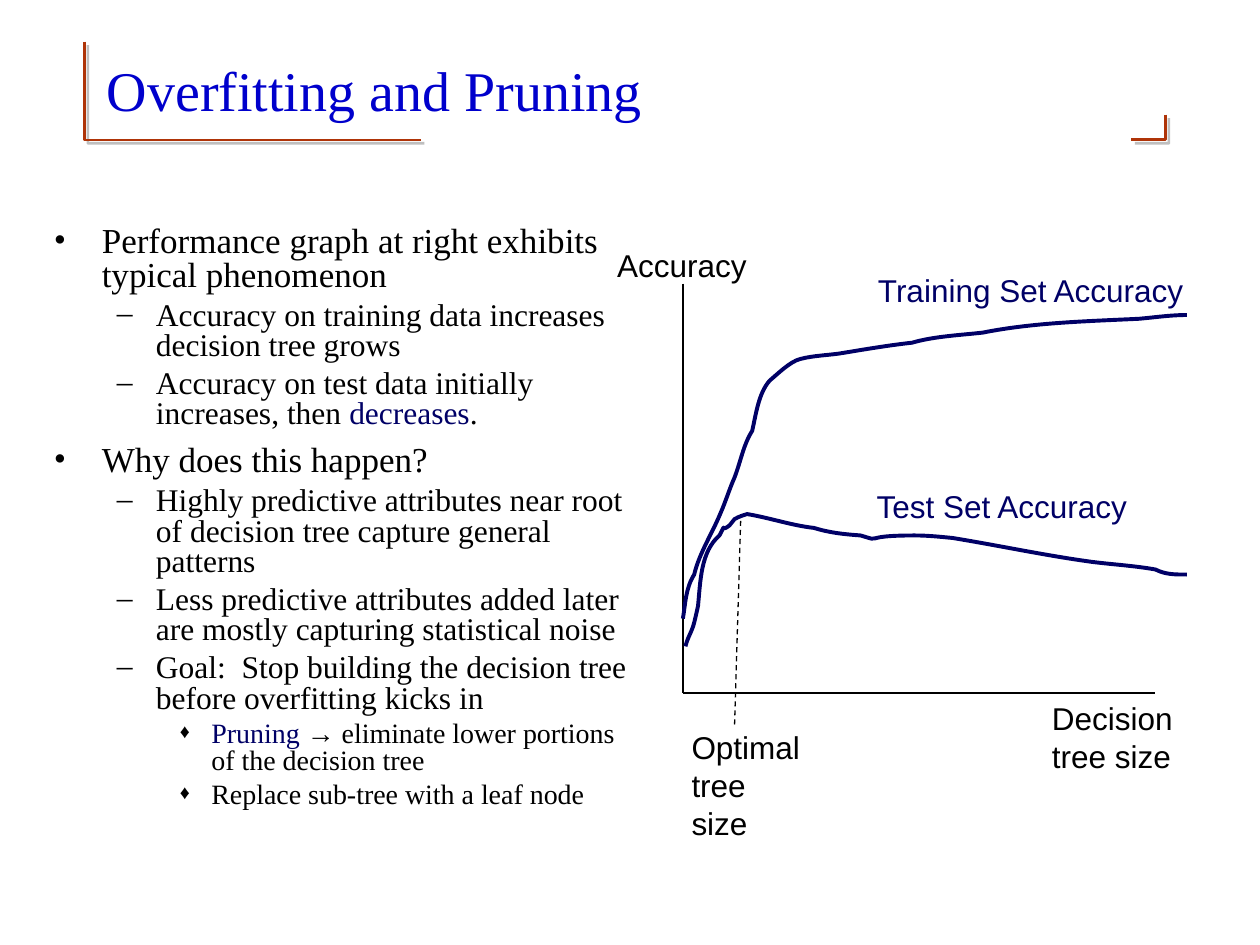
"""Build the slide on overfitting and pruning of decision trees."""
from lxml.etree import SubElement
from pptx import Presentation
from pptx.dml.color import RGBColor
from pptx.enum.dml import MSO_LINE_DASH_STYLE as Dash
from pptx.enum.shapes import MSO_CONNECTOR as Connector
from pptx.enum.text import MSO_ANCHOR as Anchor
from pptx.oxml.ns import qn
from pptx.util import Inches, Pt

COLORS = {"title": "0000CC", "text": "000000", "accent": "000066",
          "bracket": "AF3408", "shadow": "808080"}
SERIF, SANS = "Times New Roman", "Arial"

TITLE = "Overfitting and Pruning"
BODY = [
    (0, [("Performance graph at right exhibits typical phenomenon", "text")]),
    (1, [("Accuracy on training data increases decision tree grows", "text")]),
    (1, [("Accuracy on test data initially increases, then ", "text"),
         ("decreases", "accent"), (".", "text")]),
    (0, [("Why does this happen?", "text")]),
    (1, [("Highly predictive attributes near root of decision tree capture general patterns", "text")]),
    (1, [("Less predictive attributes added later are mostly capturing statistical noise", "text")]),
    (1, [("Goal:  Stop building the decision tree before overfitting kicks in", "text")]),
    (2, [("Pruning ", "accent"), ("→ eliminate lower portions of the decision tree", "text")]),
    (2, [("Replace sub-tree with a leaf node", "text")]),
]
LEVELS = [
    {"size": 20, "left": 0.38, "hanging": 0.38, "before": 8.8, "bullet": "•", "scale": 100},
    {"size": 18, "left": 0.81, "hanging": 0.31, "before": 4.5, "bullet": "–", "scale": 100},
    {"size": 16, "left": 1.25, "hanging": 0.25, "before": 4, "bullet": "♦", "scale": 70},
]
LABELS = [
    (["Decision", "tree size"], (8.25, 5.5, 1.16, 0.7), "text"),
    (["Accuracy"], (4.8, 1.9, 1.23, 0.4), "text"),
    (["Training Set Accuracy"], (6.87, 2.1, 2.64, 0.4), "accent"),
    (["Test Set Accuracy"], (6.86, 3.82, 2.23, 0.4), "accent"),
    (["Optimal", "tree size"], (5.39, 5.73, 1.14, 0.7), "text"),
]
ORIGIN = (5.42, 5.5)
LINES = [
    ((5.42, 2.25), ORIGIN, None),
    (ORIGIN, (9.17, 5.5), None),
    ((5.83, 5.75), (5.88, 4.08), Dash.DASH),
]
BRACKETS = [
    [(0.67, 0.33), (0.67, 1.11), (3.34, 1.11)],
    [(9.25, 0.91), (9.25, 1.11), (8.98, 1.11)],
]
TRAINING_CURVE = [
    (5.42, 4.91),
    (5.44, 4.8), (5.44, 4.67), (5.51, 4.56),
    (5.55, 4.39), (5.65, 4.24), (5.72, 4.07),
    (5.76, 3.98), (5.79, 3.88), (5.83, 3.79),
    (5.88, 3.66), (5.9, 3.53), (5.97, 3.42),
    (6, 3.29), (6.02, 3.12), (6.11, 3.02),
    (6.17, 2.97), (6.27, 2.87), (6.35, 2.85),
    (6.46, 2.82), (6.59, 2.82), (6.7, 2.8),
    (6.88, 2.77), (7.06, 2.74), (7.24, 2.72),
    (7.41, 2.67), (7.62, 2.66), (7.8, 2.64),
    (8.2, 2.56), (8.63, 2.55), (9.04, 2.53),
    (9.16, 2.52), (9.29, 2.5), (9.42, 2.5),
]
TEST_CURVE = [
    (5.44, 5.13),
    (5.46, 5.05), (5.49, 5.02), (5.51, 4.94),
    (5.52, 4.9), (5.54, 4.81), (5.54, 4.81),
    (5.56, 4.61), (5.56, 4.38), (5.71, 4.25),
    (5.78, 4.12), (5.7, 4.24), (5.79, 4.17),
    (5.81, 4.16), (5.81, 4.13), (5.83, 4.12),
    (5.86, 4.1), (5.93, 4.08), (5.93, 4.08),
    (6.11, 4.11), (6.28, 4.17), (6.46, 4.19),
    (6.59, 4.23), (6.7, 4.24), (6.83, 4.25),
    (7.03, 4.31), (6.8, 4.25), (7.26, 4.25),
    (7.36, 4.25), (7.46, 4.26), (7.56, 4.27),
    (7.93, 4.33), (8.3, 4.41), (8.67, 4.46),
    (8.83, 4.48), (9, 4.49), (9.17, 4.52),
    (9.25, 4.56), (9.32, 4.56), (9.42, 4.56),
]


def color(name):
    return RGBColor.from_string(COLORS[name])


def add_run(paragraph, text, size, font, color_name):
    run = paragraph.add_run()
    run.text = text
    run.font.size = Pt(size)
    run.font.name = font
    run.font.color.rgb = color(color_name)


def add_text_frame(slide, box, wrap=True):
    frame = slide.shapes.add_textbox(*map(Inches, box)).text_frame
    frame.word_wrap = wrap
    return frame


def add_outline(slide, points, color_name, width):
    start, *rest = [(Inches(x), Inches(y)) for x, y in points]
    builder = slide.shapes.build_freeform(*start)
    builder.add_line_segments(rest, close=False)
    shape = builder.convert_to_shape()
    shape.fill.background()
    shape.line.color.rgb = color(color_name)
    shape.line.width = Pt(width)
    shape.shadow.inherit = False
    return shape


def add_bracket(slide, points):
    shape = add_outline(slide, points, "bracket", 1.5)
    effects = shape._element.spPr.find(qn("a:effectLst"))
    shadow = SubElement(effects, qn("a:outerShdw"), dist=str(Pt(2.8)),
                        dir="2700000", algn="ctr", rotWithShape="0")
    tint = SubElement(shadow, qn("a:srgbClr"), val=COLORS["shadow"])
    SubElement(tint, qn("a:alpha"), val="50000")


def add_curve(slide, points):
    shape = add_outline(slide, points, "accent", 2.25)
    segments = list(shape._element.iter(qn("a:lnTo")))
    outline = segments[0].getparent()
    for first in range(0, len(segments), 3):
        bezier = SubElement(outline, qn("a:cubicBezTo"))
        for segment in segments[first:first + 3]:
            bezier.append(segment[0])
            outline.remove(segment)


def add_line(slide, start, end, dash):
    line = slide.shapes.add_connector(Connector.STRAIGHT, *map(Inches, start + end))
    line.line.color.rgb = color("text")
    line.line.width = Pt(0.75)
    if dash:
        line.line.dash_style = dash
    SubElement(line._element.spPr, qn("a:effectLst"))


def add_body(slide):
    frame = add_text_frame(slide, (0.33, 1.75, 4.83, 5.33))
    for index, (level, runs) in enumerate(BODY):
        style = LEVELS[level]
        paragraph = frame.add_paragraph() if index else frame.paragraphs[0]
        paragraph.level = level
        paragraph.line_spacing = 0.8
        paragraph.space_before = Pt(style["before"])
        properties = paragraph._p.get_or_add_pPr()
        properties.set("marL", str(Inches(style["left"])))
        properties.set("indent", str(-Inches(style["hanging"])))
        bullet_color = SubElement(properties, qn("a:buClr"))
        SubElement(bullet_color, qn("a:srgbClr"), val=COLORS["text"])
        SubElement(properties, qn("a:buSzPct"), val=str(style["scale"] * 1000))
        SubElement(properties, qn("a:buFont"), typeface=SERIF)
        SubElement(properties, qn("a:buChar"), char=style["bullet"])
        for text, color_name in runs:
            add_run(paragraph, text, style["size"], SERIF, color_name)


def add_label(slide, rows, box, color_name):
    paragraph = add_text_frame(slide, box, wrap=False).paragraphs[0]
    for index, row in enumerate(rows):
        if index:
            paragraph.add_line_break()
        add_run(paragraph, row, 18, SANS, color_name)


def main():
    presentation = Presentation()
    presentation.slide_width, presentation.slide_height = Inches(10), Inches(7.5)
    slide = presentation.slides.add_slide(presentation.slide_layouts[6])
    for points in BRACKETS:
        add_bracket(slide, points)
    title = add_text_frame(slide, (0.75, 0.25, 8.5, 0.92))
    title.vertical_anchor = Anchor.MIDDLE
    add_run(title.paragraphs[0], TITLE, 32, SERIF, "title")
    add_body(slide)
    for line in LINES:
        add_line(slide, *line)
    for curve in (TRAINING_CURVE, TEST_CURVE):
        add_curve(slide, curve)
    for label in LABELS:
        add_label(slide, *label)
    presentation.save("out.pptx")


if __name__ == "__main__":
    main()
